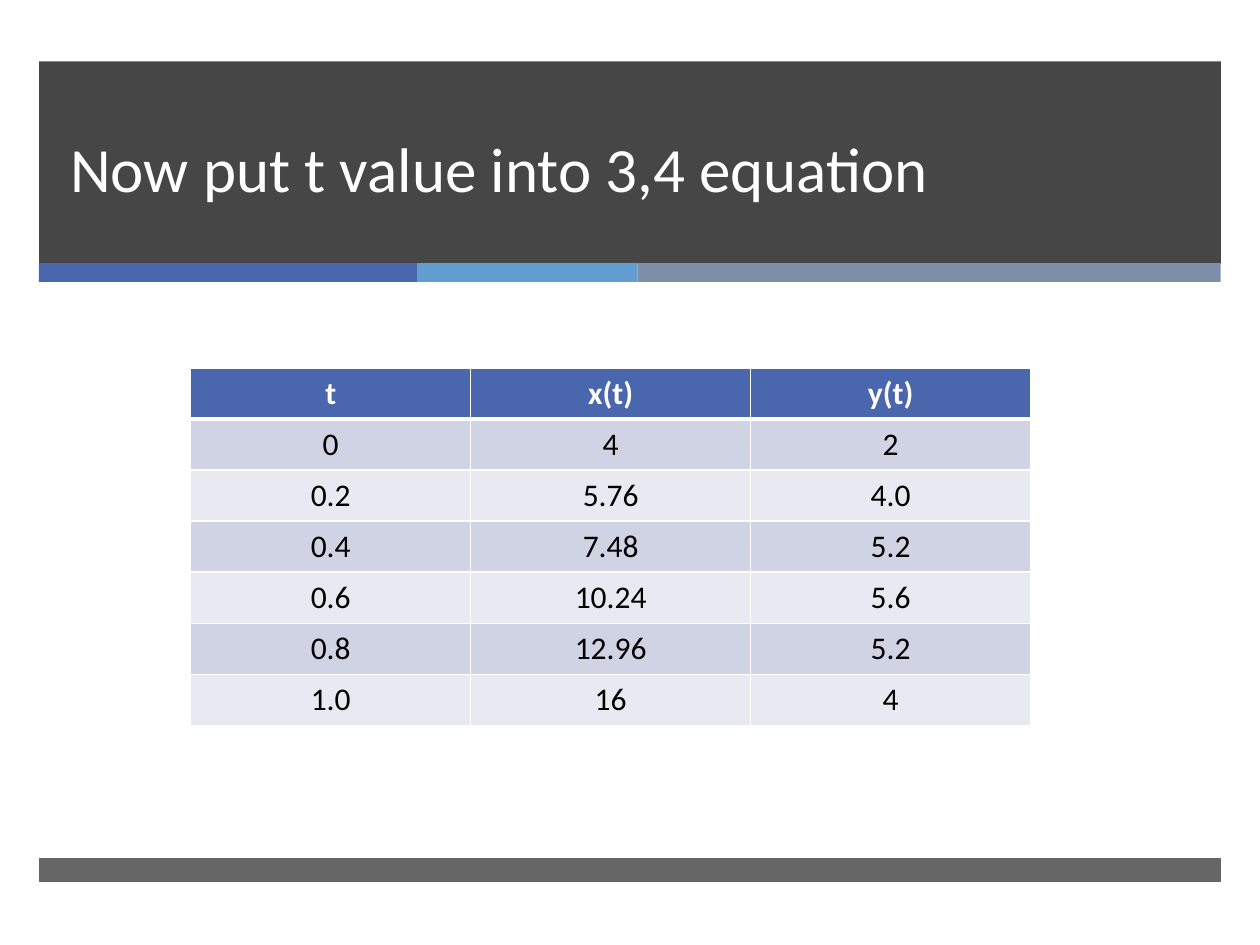
from pptx import Presentation
from pptx.util import Pt
from pptx.dml.color import RGBColor as RGB
from pptx.enum.shapes import MSO_SHAPE as SHAPE
from pptx.enum.text import MSO_ANCHOR as ANCHOR, PP_ALIGN as ALIGN
from lxml.etree import SubElement
from pptx.oxml import parse_xml
from pptx.oxml.ns import nsdecls, qn

HUES = {
    "dark": "262626", "blue": "4A66AC", "sky": "629DD1", "slate": "7F8FA9",
    "odd": "D0D3E3", "even": "E9EAF1", "white": "FFFFFF", "black": "000000",
}


def write(par, text, size, hue, bold=False):
    run = par.add_run()
    run.text = text
    run.font.name = "Calibri"
    run.font.size = Pt(size)
    run.font.bold = bold
    run.font.color.rgb = RGB.from_string(HUES[hue])


def edge(cell, widths):
    """Give a cell white borders; widths are left, right, top, bottom."""
    props = cell._tc.get_or_add_tcPr()
    for i, (side, width) in enumerate(zip("LRTB", widths)):
        props.insert(i, parse_xml(
            f'<a:ln{side} {nsdecls("a")} w="{Pt(width)}"><a:solidFill>'
            f'<a:srgbClr val="{HUES["white"]}"/></a:solidFill></a:ln{side}>'))


deck = Presentation()
deck.slide_width, deck.slide_height = Pt(720), Pt(540)
slide = deck.slides.add_slide(deck.slide_layouts[6])

# Bands: left, top, width, height, colour, opacity in percent
bands = [
    (22.3, 35.1, 675.3, 115.6, "dark", 85),
    (22.3, 150.3, 216, 10.8, "blue", 100),
    (238.3, 150.3, 126, 10.8, "sky", 100),
    (364.3, 150.3, 333.3, 10.8, "slate", 100),
    (22.3, 490.3, 675.3, 13.7, "dark", 70),
]
for left, top, width, height, hue, alpha in bands:
    band = slide.shapes.add_shape(
        SHAPE.RECTANGLE, Pt(left), Pt(top), Pt(width), Pt(height))
    band.shadow.inherit = False
    band.line.fill.background()
    band.fill.solid()
    band.fill.fore_color.rgb = RGB.from_string(HUES[hue])
    if alpha < 100:
        tint = band._element.spPr.find(qn("a:solidFill"))[0]
        SubElement(tint, qn("a:alpha"), val=str(alpha * 1000))

# Title
title = slide.shapes.add_textbox(Pt(33.1), Pt(35.3), Pt(615), Pt(85.7))
frame = title.text_frame
frame.word_wrap = True
frame.vertical_anchor = ANCHOR.BOTTOM
par = frame.paragraphs[0]
par.line_spacing = Pt(46)
write(par, "Now put t value into 3,4 equation", 36, "white")

# Table of values
rows = [
    ("t", "x(t)", "y(t)"),
    ("0", "4", "2"),
    ("0.2", "5.76", "4.0"),
    ("0.4", "7.48", "5.2"),
    ("0.6", "10.24", "5.6"),
    ("0.8", "12.96", "5.2"),
    ("1.0", "16", "4"),
]
high = 29.2
table = slide.shapes.add_table(
    len(rows), 3, Pt(109), Pt(210.2), Pt(480), Pt(high * len(rows))).table
for r, row in enumerate(rows):
    table.rows[r].height = Pt(high)
    head = r == 0
    back = "blue" if head else "odd" if r % 2 else "even"
    for c, text in enumerate(row):
        cell = table.cell(r, c)
        cell.fill.solid()
        cell.fill.fore_color.rgb = RGB.from_string(HUES[back])
        edge(cell, (1, 1, 3 if r == 1 else 1, 3 if head else 1))
        par = cell.text_frame.paragraphs[0]
        par.alignment = ALIGN.CENTER
        write(par, text, 18, "white" if head else "black", head)

deck.save("out.pptx")
